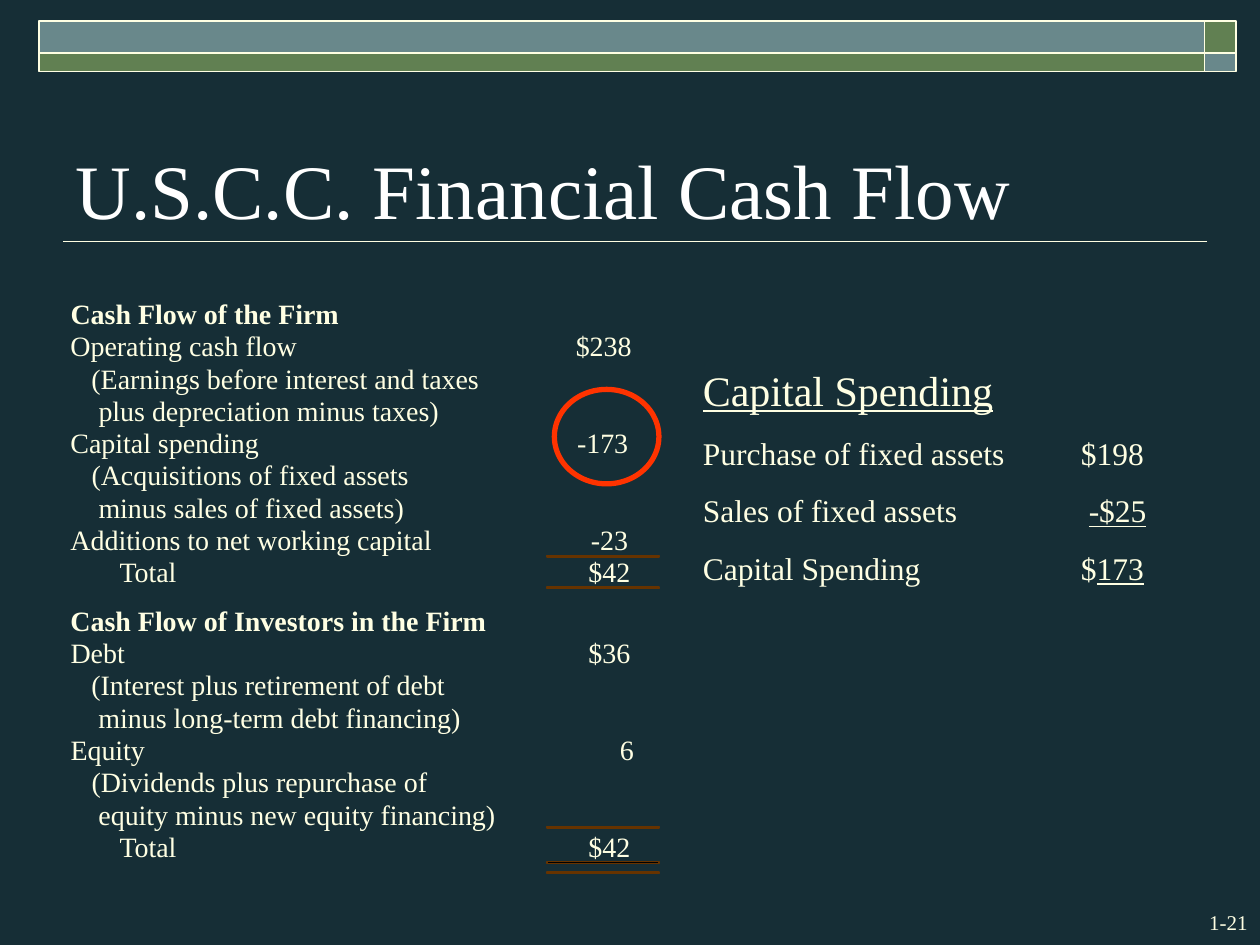
from dataclasses import dataclass
from itertools import product

from lxml import etree
from pptx import Presentation
from pptx import util as u
from pptx.dml import color
from pptx.enum import shapes, text
from pptx.oxml import ns

COLORS = {
    "night": "162E36",
    "cream": "FFFFE3",
    "white": "FFFFFF",
    "green": "618052",
    "teal": "69888B",
    "red": "FF3300",
    "brown": "663300",
    "black": "000000",
}
FONT = "Times New Roman"
SLIDE_WIDTH, SLIDE_HEIGHT = u.Inches(10), u.Inches(7.5)
ROW_PITCH, ROW_HEIGHT = 3.42, 3.6
LABEL_LEFT = 5.6
SLACK = 0.6
SPACE_POINTS = 4


@dataclass(frozen=True)
class Area:
    """Percentages of the slide's width and height."""
    left: float
    top: float
    width: float
    height: float

    def lengths(self) -> tuple:
        return (across(self.left), down(self.top),
                across(self.width), down(self.height))


@dataclass(frozen=True)
class Entry:
    label: str
    width: float
    indent: int = 0
    amount: str = ""
    amount_width: float = 3.3
    amount_right: float = 50
    bold: bool = False


@dataclass(frozen=True)
class Section:
    top: float
    entries: tuple


@dataclass(frozen=True)
class Spending:
    spans: tuple
    size: float = 18
    before: float = 11.2


SECTIONS = (
    Section(31.37, (
        Entry("Cash Flow of the Firm", 21.3, bold=True),
        Entry("Operating cash flow", 18, amount="$238", amount_width=4.4, amount_right=50.1),
        Entry("(Earnings before interest and taxes", 32.4, 3),
        Entry("plus depreciation minus taxes)", 29.2, 4),
        Entry("Capital spending", 15, amount="-173", amount_width=4.1, amount_right=49.9),
        Entry("(Acquisitions of fixed assets", 26.9, 3),
        Entry("minus sales of fixed assets)", 26.5, 4),
        Entry("Additions to net working capital", 28.7, amount="-23", amount_width=3, amount_right=49.9),
        Entry("Total", 8.6, 7, "$42"),
    )),
    Section(63.83, (
        Entry("Cash Flow of Investors in the Firm", 33, bold=True),
        Entry("Debt", 4.3, amount="$36"),
        Entry("(Interest plus retirement of debt", 29.7, 3),
        Entry("minus long-term debt financing)", 31, 4),
        Entry("Equity", 5.9, amount="6", amount_width=1.1, amount_right=50.3),
        Entry("(Dividends plus repurchase of", 28.3, 3),
        Entry("equity minus new equity financing)", 33.7, 4),
        Entry("Total", 8.6, 7, "$42"),
    )),
)
SPENDING = (
    Spending((("Capital Spending", True),), 24, 15),
    Spending((("Purchase of fixed assets\t$198", False),)),
    Spending((("Sales of fixed assets\t ", False), ("-$25", True))),
    Spending((("Capital Spending\t$", False), ("173", True))),
)
RULE_TOPS = (58.8, 62.13, 87.47, 91.2, 92.27)
BANNER_COLUMNS = ((3.1, 92.5), (95.6, 2.5))
BANNER_ROWS = ((2.25, 3.33), (5.58, 2))


def across(percent: float) -> int:
    return round(SLIDE_WIDTH * percent / 100)


def down(percent: float) -> int:
    return round(SLIDE_HEIGHT * percent / 100)


def rgb(name: str) -> color.RGBColor:
    return color.RGBColor.from_string(COLORS[name])


def add_span(para, words: str, size: float, shade: str = "cream",
             bold: bool = False, underline: bool = False) -> None:
    span = para.add_run()
    span.text = words
    font = span.font
    font.name, font.size = FONT, u.Pt(size)
    font.bold, font.underline = bold, underline
    font.color.rgb = rgb(shade)


def add_shape(page, kind, area: Area, fill: str | None, line: str, weight: float) -> None:
    shape = page.shapes.add_shape(kind, *area.lengths())
    shape.shadow.inherit = False
    if fill:
        shape.fill.solid()
        shape.fill.fore_color.rgb = rgb(fill)
    else:
        shape.fill.background()
    shape.line.color.rgb = rgb(line)
    shape.line.width = u.Pt(weight)


def add_cell(page, area: Area, words: str, indent: int = 0, bold: bool = False) -> None:
    frame = page.shapes.add_textbox(*area.lengths()).text_frame
    frame.margin_left = frame.margin_right = frame.margin_top = frame.margin_bottom = 0
    frame.word_wrap = True
    frame.auto_size = text.MSO_AUTO_SIZE.NONE
    para = frame.paragraphs[0]
    if indent:
        para._p.get_or_add_pPr().set("marL", str(u.Pt(indent * SPACE_POINTS)))
    add_span(para, words, 16, bold=bold)


def add_section(page, section: Section) -> None:
    for row, entry in enumerate(section.entries):
        top = section.top + row * ROW_PITCH
        add_cell(page, Area(LABEL_LEFT, top, entry.width + SLACK, ROW_HEIGHT),
                 entry.label, entry.indent, entry.bold)
        if entry.amount:
            left = entry.amount_right - entry.amount_width
            add_cell(page, Area(left, top, entry.amount_width + SLACK, ROW_HEIGHT),
                     entry.amount)


def add_title(page) -> None:
    title = page.shapes.title
    title.left, title.top, title.width, title.height = Area(5, 8.85, 87.3, 16.67).lengths()
    frame = title.text_frame
    frame.vertical_anchor = text.MSO_ANCHOR.BOTTOM
    frame.auto_size = text.MSO_AUTO_SIZE.NONE
    para = frame.paragraphs[0]
    para.alignment = text.PP_ALIGN.LEFT
    add_span(para, "U.S.C.C. Financial Cash Flow", 44, "white")


def add_title_line(page) -> None:
    line = page.shapes.add_connector(
        shapes.MSO_CONNECTOR.STRAIGHT, across(95.8), down(25.55), across(5), down(25.55))
    line.line.color.rgb = rgb("cream")
    line.line.width = u.Pt(1)
    etree.SubElement(line._element.spPr, ns.qn("a:effectLst"))


def add_spending(page) -> None:
    frame = page.shapes.add_textbox(*Area(54.8, 37.87, 37.5, 24.93).lengths()).text_frame
    frame.word_wrap = True
    for number, item in enumerate(SPENDING):
        para = frame.add_paragraph() if number else frame.paragraphs[0]
        para.space_before = u.Pt(item.before)
        stops = etree.SubElement(para._p.get_or_add_pPr(), ns.qn("a:tabLst"))
        etree.SubElement(stops, ns.qn("a:tab"), pos=str(u.Inches(3)), algn="l")
        for words, underline in item.spans:
            add_span(para, words, item.size, underline=underline)


def add_page_number(page) -> None:
    frame = page.shapes.add_textbox(*Area(91.7, 95.6, 8.3, 4).lengths()).text_frame
    frame.word_wrap = True
    para = frame.paragraphs[0]
    para.alignment = text.PP_ALIGN.RIGHT
    add_span(para, "1-21", 12)


def main() -> None:
    deck = Presentation()
    deck.slide_width, deck.slide_height = SLIDE_WIDTH, SLIDE_HEIGHT
    page = deck.slides.add_slide(deck.slide_layouts.get_by_name("Title Only"))
    page.background.fill.solid()
    page.background.fill.fore_color.rgb = rgb("night")

    add_title_line(page)
    rectangle = shapes.MSO_SHAPE.RECTANGLE
    for (column, (left, width)), (row, (top, height)) in product(
            enumerate(BANNER_COLUMNS), enumerate(BANNER_ROWS)):
        fill = "teal" if column == row else "green"
        add_shape(page, rectangle, Area(left, top, width, height), fill, "cream", 1)
    add_page_number(page)
    add_title(page)
    for section in SECTIONS:
        add_section(page, section)
    add_spending(page)
    add_shape(page, shapes.MSO_SHAPE.OVAL, Area(44, 41.2, 8.3, 10), None, "red", 3)
    for top in RULE_TOPS:
        add_shape(page, rectangle, Area(43.4, top, 8.9, 0.16), "black", "brown", 0.75)
    deck.save("out.pptx")


if __name__ == "__main__":
    main()
